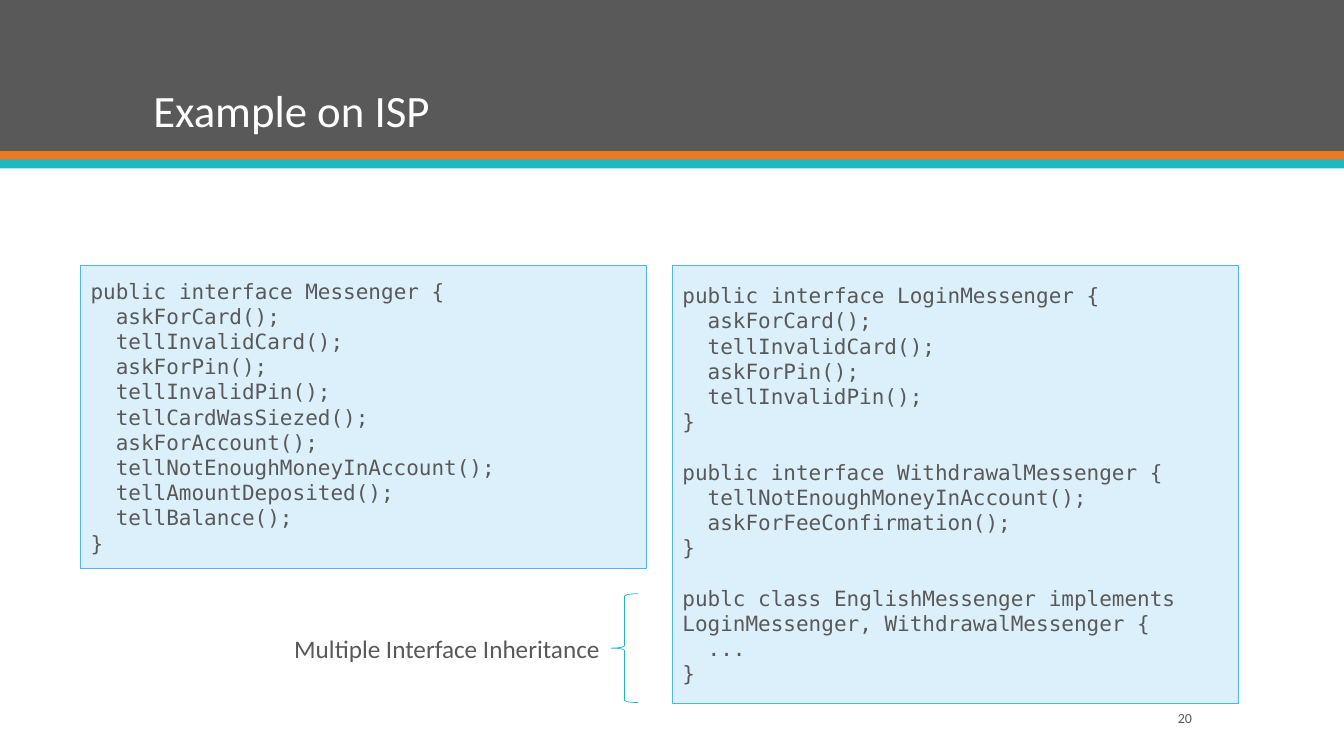
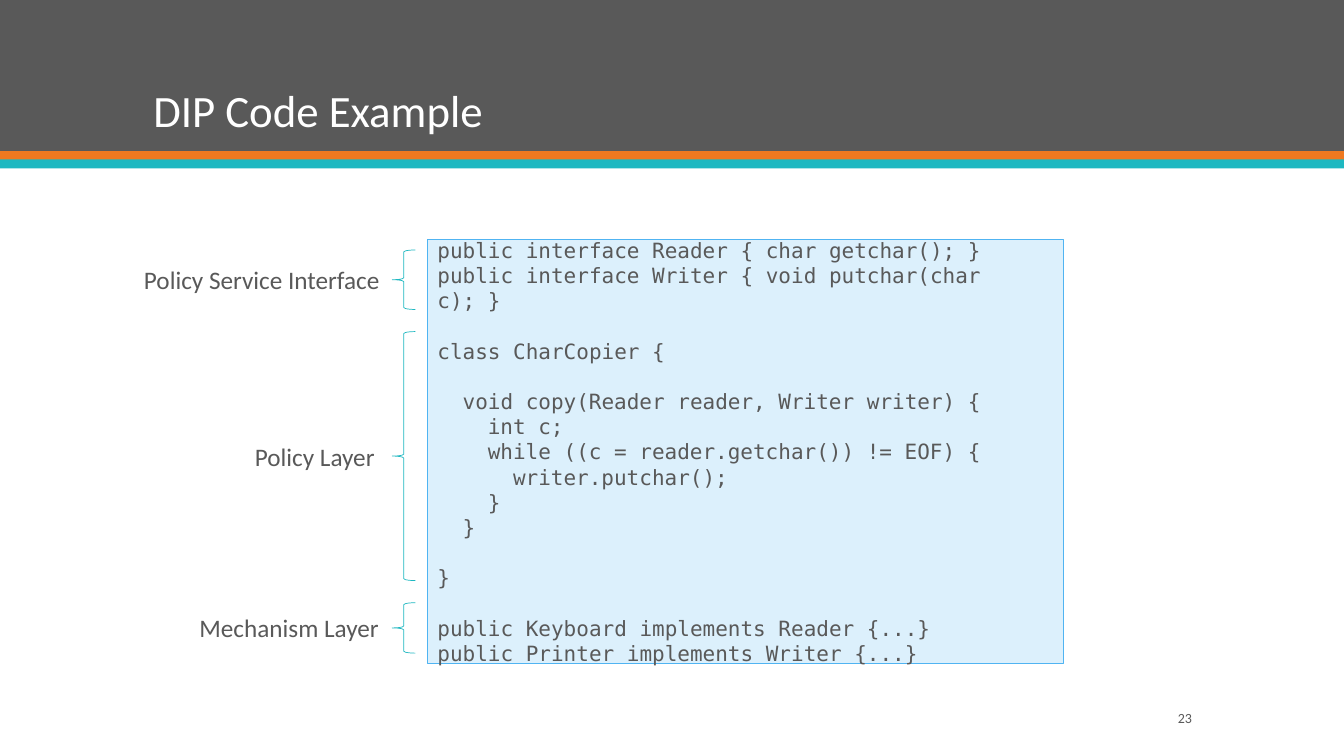
from dataclasses import dataclass

from pptx import Presentation
from pptx.dml.color import RGBColor
from pptx.enum.shapes import MSO_SHAPE
from pptx.enum.text import MSO_ANCHOR, MSO_AUTO_SIZE, PP_ALIGN
from pptx.util import Inches, Pt


@dataclass(frozen=True)
class Theme:
    gray: RGBColor = RGBColor.from_string("595959")
    orange: RGBColor = RGBColor.from_string("EF7920")
    teal: RGBColor = RGBColor.from_string("1EB8C1")
    white: RGBColor = RGBColor.from_string("FFFFFF")
    code_fill: RGBColor = RGBColor.from_string("DCF0FC")
    code_line: RGBColor = RGBColor.from_string("50B4F2")
    hairline: Pt = Pt(0.5)
    code_row: Pt = Pt(18)
    code_indent: Pt = Pt(9)


theme = Theme()
FONTS = {
    "title": {"name": "Calibri", "size": Pt(32)},
    "label": {"name": "Calibri", "size": Pt(18)},
    "number": {"name": "Calibri", "size": Pt(10)},
    "code": {"name": "DejaVu Sans Mono", "size": Pt(15)},
}

MESSENGER = """public interface Messenger {
  askForCard();
  tellInvalidCard();
  askForPin();
  tellInvalidPin();
  tellCardWasSiezed();
  askForAccount();
  tellNotEnoughMoneyInAccount();
  tellAmountDeposited();
  tellBalance();
}"""

SPLIT_MESSENGERS = """public interface LoginMessenger {
  askForCard();
  tellInvalidCard();
  askForPin();
  tellInvalidPin();
}

public interface WithdrawalMessenger {
  tellNotEnoughMoneyInAccount();
  askForFeeConfirmation();
}

publc class EnglishMessenger implements LoginMessenger, WithdrawalMessenger {
  ...
}"""

CHAR_COPIER = """public interface Reader { char getchar(); }
public interface Writer { void putchar(char c); }

class CharCopier {

  void copy(Reader reader, Writer writer) {
    int c;
    while ((c = reader.getchar()) != EOF) {
      writer.putchar();
    }
  }

}

public Keyboard implements Reader {...}
public Printer implements Writer {...}"""

SLIDES = [
    {
        "title": "Example on ISP",
        "number": "20",
        "code": [
            (MESSENGER, (0.8, 2.63, 5.61, 3.01)),
            (SPLIT_MESSENGERS, (6.67, 2.63, 5.61, 4.35)),
        ],
        "braces": [
            ("Multiple Interface Inheritance", (2.82, 3.27), (6.06, 5.89, 0.27, 1.08)),
        ],
    },
    {
        "title": "DIP Code Example",
        "number": "23",
        "code": [(CHAR_COPIER, (4.24, 2.38, 6.31, 4.2))],
        "braces": [
            ("Policy Service Interface", (1.33, 2.56), (3.89, 2.48, 0.23, 0.59)),
            ("Policy Layer", (2.43, 1.4), (3.89, 3.29, 0.23, 2.47)),
            ("Mechanism Layer", (1.88, 2), (3.89, 5.98, 0.23, 0.5)),
        ],
    },
]


def add_text(p, text, style, color=theme.gray):
    r = p.add_run()
    r.text = text
    for key, value in FONTS[style].items():
        setattr(r.font, key, value)
    r.font.color.rgb = color


def add_box(s, kind, box, fill=None, line=None):
    sp = s.shapes.add_shape(kind, *map(Inches, box))
    sp.shadow.inherit = False
    if fill is None:
        sp.fill.background()
    else:
        sp.fill.solid()
        sp.fill.fore_color.rgb = fill
    if line is None:
        sp.line.fill.background()
    else:
        sp.line.color.rgb = line
        sp.line.width = theme.hairline
    return sp


prs = Presentation()
prs.slide_width = Inches(13.33)
prs.slide_height = Inches(7.5)
layout = prs.slide_layouts[5]

for slide in SLIDES:
    s = prs.slides.add_slide(layout)

    if slide is SLIDES[0]:
        bands = [(0, 1.5, theme.gray), (1.5, 0.09, theme.orange), (1.58, 0.09, theme.teal)]
        for i, (top, height, color) in enumerate(bands):
            band = add_box(s, MSO_SHAPE.RECTANGLE, (0, top, 13.33, height), color)
            layout.shapes.element.insert(2 + i, band.element)

    title = s.shapes.title
    place = {"left": 1.42, "top": 0.28, "width": 10.5, "height": 1.13}
    for key, value in place.items():
        setattr(title, key, Inches(value))
    tf = title.text_frame
    tf.auto_size = MSO_AUTO_SIZE.NONE
    tf.vertical_anchor = MSO_ANCHOR.BOTTOM
    p = tf.paragraphs[0]
    p.alignment = PP_ALIGN.LEFT
    p.line_spacing = 0.9
    add_text(p, slide["title"], "title", theme.white)

    number = s.shapes.add_textbox(Inches(10.42), Inches(6.97), Inches(1.5), Inches(0.3))
    tf = number.text_frame
    tf.word_wrap = True
    tf.vertical_anchor = MSO_ANCHOR.MIDDLE
    p = tf.paragraphs[0]
    p.alignment = PP_ALIGN.RIGHT
    add_text(p, slide["number"], "number")

    for code, box in slide["code"]:
        sp = add_box(s, MSO_SHAPE.RECTANGLE, box, theme.code_fill, theme.code_line)
        tf = sp.text_frame
        tf.word_wrap = True
        tf.vertical_anchor = MSO_ANCHOR.MIDDLE
        p, gap = tf.paragraphs[0], False
        for row in code.splitlines():
            text = row.lstrip()
            if not text:
                gap = True
                continue
            if p.runs:
                p = tf.add_paragraph()
            p.alignment = PP_ALIGN.LEFT
            p.space_before = theme.code_row if gap else Pt(0)
            indent = (len(row) - len(text)) * theme.code_indent
            p._p.get_or_add_pPr().set("marL", str(indent))
            add_text(p, text, "code")
            gap = False

    for text, (left, width), box in slide["braces"]:
        add_box(s, MSO_SHAPE.LEFT_BRACE, box, line=theme.teal)
        middle = box[1] + box[3] / 2
        label = s.shapes.add_textbox(
            Inches(left), Inches(middle - 0.2), Inches(width), Inches(0.4)
        )
        tf = label.text_frame
        tf.word_wrap = False
        tf.auto_size = MSO_AUTO_SIZE.SHAPE_TO_FIT_TEXT
        add_text(tf.paragraphs[0], text, "label")

prs.save("out.pptx")
